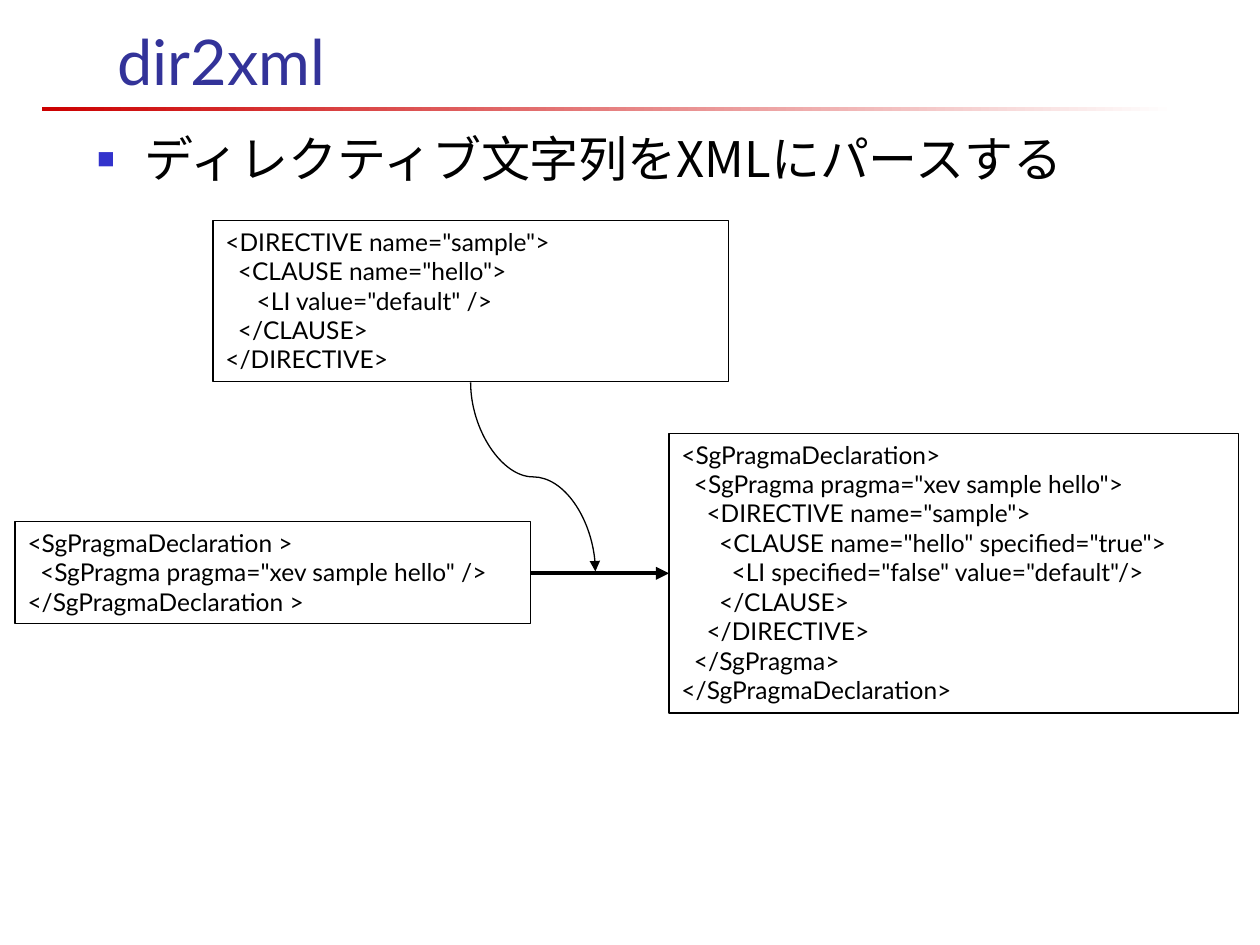
import pptx
import pptx.util
import pptx.dml.color
import pptx.enum.shapes
import pptx.enum.text
import pptx.oxml
import pptx.oxml.ns
from lxml import etree

Inches = pptx.util.Inches
Pt = pptx.util.Pt
RGBColor = pptx.dml.color.RGBColor
MSO_SHAPE = pptx.enum.shapes.MSO_SHAPE
MSO_CONNECTOR = pptx.enum.shapes.MSO_CONNECTOR
MSO_ANCHOR = pptx.enum.text.MSO_ANCHOR
PP_ALIGN = pptx.enum.text.PP_ALIGN
qn = pptx.oxml.ns.qn

# Content
TITLE = "dir2xml"
BULLET = "ディレクティブ文字列をXMLにパースする"
CODE_BOXES = [
    ((0.12, 4.14, 4.09, 0.81), [
        '<SgPragmaDeclaration >',
        '  <SgPragma pragma="xev sample hello" />',
        '</SgPragmaDeclaration >',
    ]),
    ((5.31, 3.44, 4.52, 2.22), [
        '<SgPragmaDeclaration>',
        '  <SgPragma pragma="xev sample hello">',
        '    <DIRECTIVE name="sample">',
        '      <CLAUSE name="hello" specified="true">',
        '        <LI specified="false" value="default"/>',
        '      </CLAUSE>',
        '    </DIRECTIVE>',
        '  </SgPragma>',
        '</SgPragmaDeclaration>',
    ]),
    ((1.69, 1.75, 4.09, 1.28), [
        '<DIRECTIVE name="sample">',
        '  <CLAUSE name="hello">',
        '     <LI value="default" />',
        '  </CLAUSE>',
        '</DIRECTIVE>',
    ]),
]

BLACK = RGBColor(0x00, 0x00, 0x00)
WHITE = RGBColor(0xFF, 0xFF, 0xFF)
RED = RGBColor(0xCC, 0x00, 0x00)
TITLE_BLUE = RGBColor(0x33, 0x33, 0x99)
BULLET_BLUE = RGBColor(0x33, 0x33, 0xCC)
LATIN_FONT = "Lato"
JAPANESE_FONT = "Noto Sans CJK JP"


def place(shape, left, top, width, height):
    shape.left, shape.top = Inches(left), Inches(top)
    shape.width, shape.height = Inches(width), Inches(height)


def add_span(para, text, size, font, color):
    span = para.add_run()
    span.text = text
    span.font.size = Pt(size)
    span.font.name = font
    span.font.color.rgb = color
    return span


def add_bullet(para, char, color, percent, indent):
    properties = para._p.get_or_add_pPr()
    properties.set("marL", str(Inches(indent)))
    properties.set("indent", str(-Inches(indent)))
    bullet_color = etree.SubElement(properties, qn("a:buClr"))
    etree.SubElement(bullet_color, qn("a:srgbClr"), val=str(color))
    etree.SubElement(properties, qn("a:buSzPct"), val=str(percent * 1000))
    etree.SubElement(properties, qn("a:buChar"), char=char)


def add_code_box(page, area, lines):
    box = page.shapes.add_shape(MSO_SHAPE.RECTANGLE, *map(Inches, area))
    box.shadow.inherit = False
    box.fill.background()
    box.line.color.rgb = BLACK
    box.line.width = Pt(0.75)
    frame = box.text_frame
    frame.word_wrap = True
    frame.vertical_anchor = MSO_ANCHOR.TOP
    for number, line in enumerate(lines):
        para = frame.add_paragraph() if number else frame.paragraphs[0]
        para.alignment = PP_ALIGN.LEFT
        add_span(para, line, 14, LATIN_FONT, BLACK)


def add_arrow(page, kind, start, end, width):
    arrow = page.shapes.add_connector(kind, *map(Inches, start + end))
    arrow.line.color.rgb = BLACK
    arrow.line.width = Pt(width)
    etree.SubElement(arrow.line._get_or_add_ln(), qn("a:tailEnd"), type="triangle")
    etree.SubElement(arrow._element.spPr, qn("a:effectLst"))
    return arrow


deck = pptx.Presentation()
deck.slide_width, deck.slide_height = Inches(10), Inches(7.5)
page = deck.slides.add_slide(deck.slide_layouts[1])

# Rule under the title
rule = page.shapes.add_shape(MSO_SHAPE.RECTANGLE, *map(Inches, (0.33, 0.85, 9, 0.03)))
rule.shadow.inherit = False
rule.line.fill.background()
rule.fill.gradient()
rule.fill.gradient_angle = 0
for stop, color, position in zip(rule.fill.gradient_stops, (RED, WHITE), (0, 1)):
    stop.color.rgb = color
    stop.position = position

# Title and bullet
title = page.shapes.title
place(title, 0.83, -0.42, 8.52, 1.25)
title.text_frame.vertical_anchor = MSO_ANCHOR.BOTTOM
title.text_frame.auto_size = pptx.enum.text.MSO_AUTO_SIZE.NONE
title_para = title.text_frame.paragraphs[0]
title_para.alignment = PP_ALIGN.LEFT
add_span(title_para, TITLE, 36, LATIN_FONT, TITLE_BLUE)

body = page.placeholders[1]
place(body, 0.67, 0.97, 8.92, 0.97)
body.text_frame.auto_size = pptx.enum.text.MSO_AUTO_SIZE.NONE
body_para = body.text_frame.paragraphs[0]
body_para.space_before = Pt(0)
add_bullet(body_para, "■", BULLET_BLUE, 60, 0.38)
body_span = add_span(body_para, BULLET, 28, JAPANESE_FONT, BLACK)
etree.SubElement(body_span.font._element, qn("a:ea"), typeface=JAPANESE_FONT)

# Code boxes
for area, lines in CODE_BOXES:
    add_code_box(page, area, lines)

# Arrows: the curve is a quarter turn of a sideways connector
add_arrow(page, MSO_CONNECTOR.STRAIGHT, (4.21, 4.55), (5.31, 4.55), 2.5)
curve = add_arrow(page, MSO_CONNECTOR.CURVE, (4.98, 3.29), (3.48, 4.28), 0.75)
curve._element.spPr.find(qn("a:xfrm")).set("rot", str(270 * 60000))

deck.save("out.pptx")
